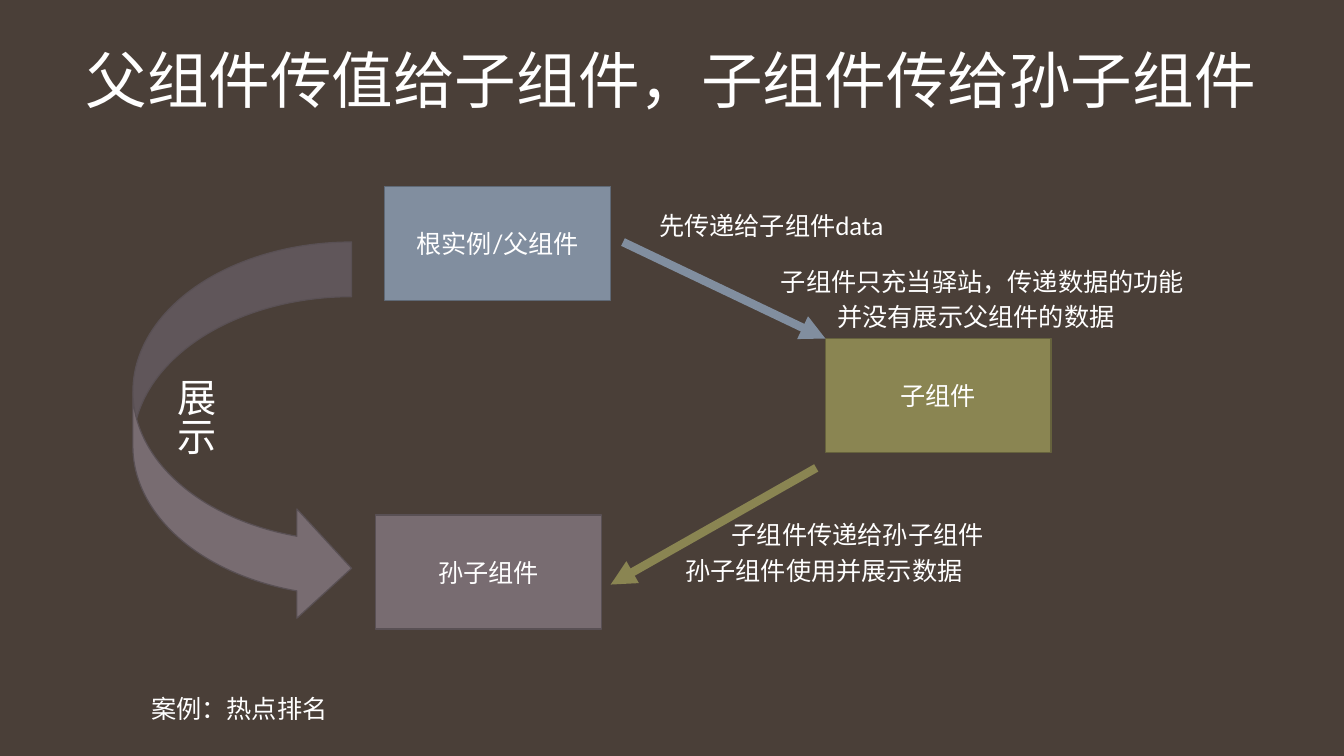
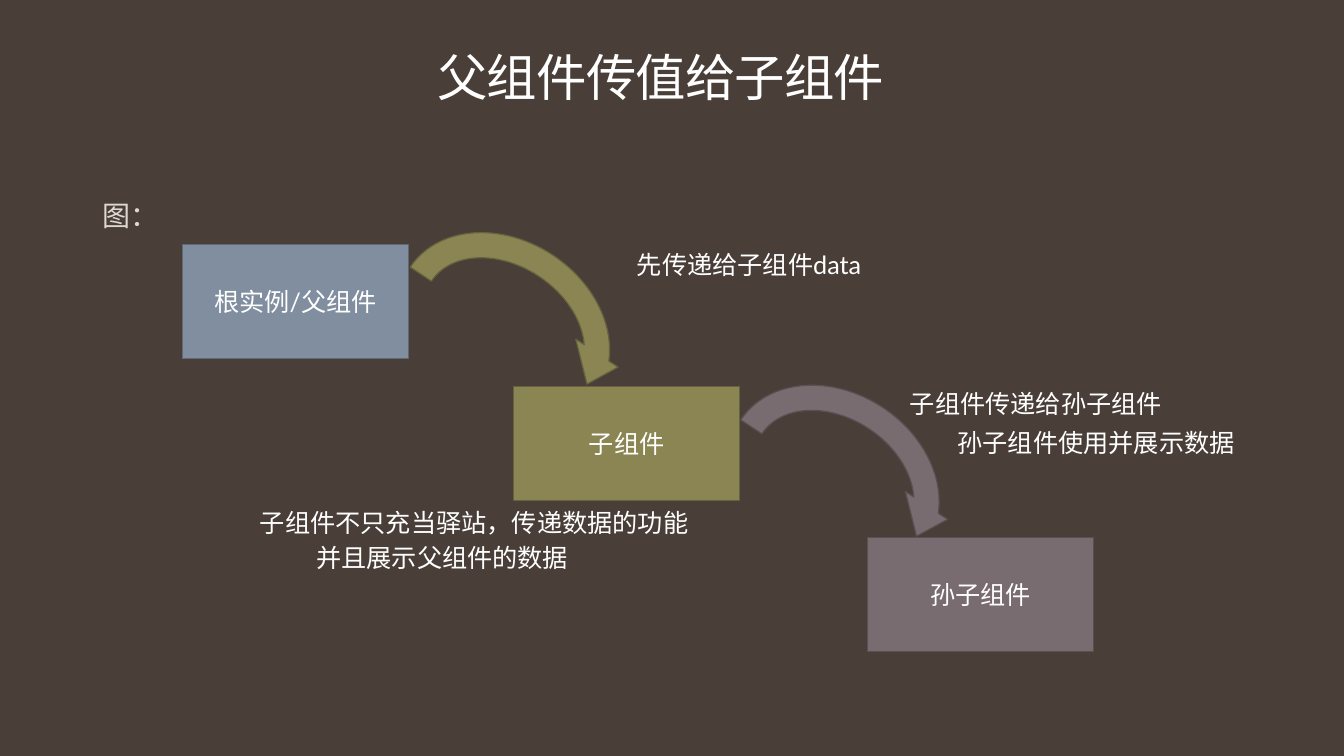
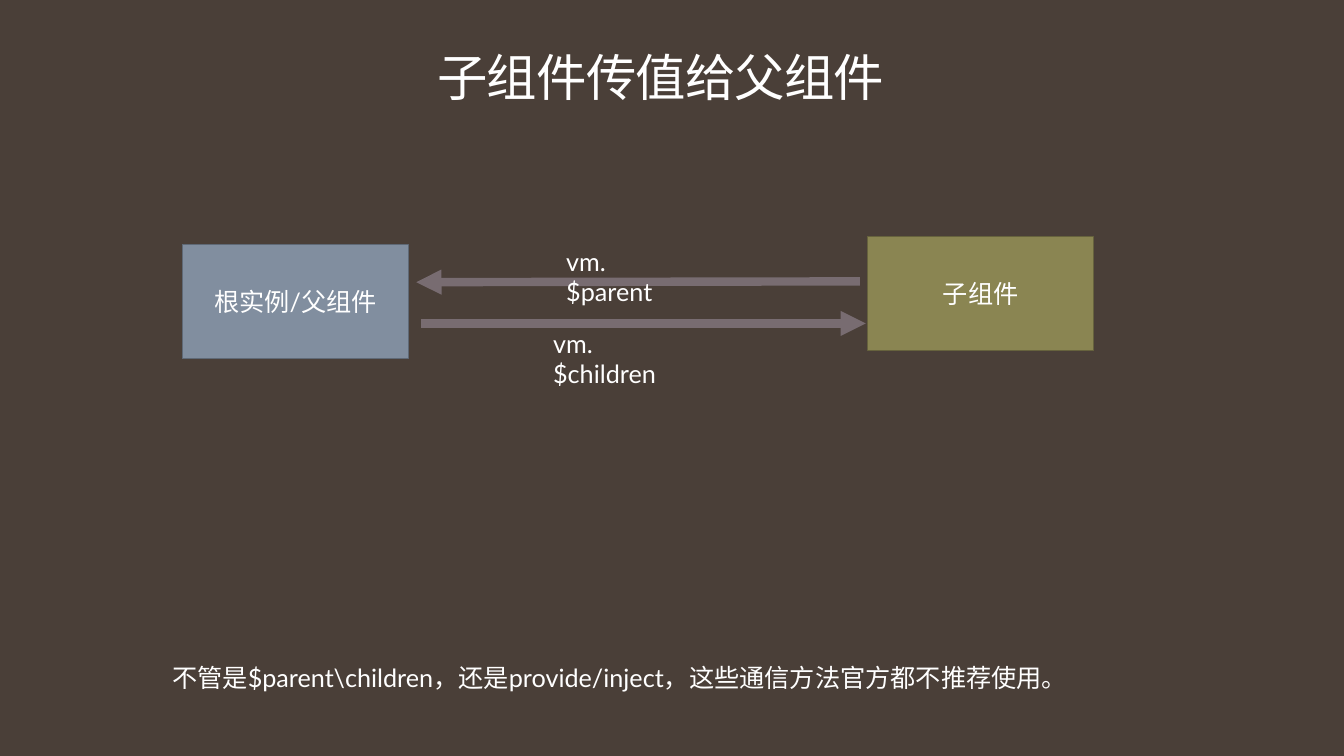
from pptx import Presentation
from pptx.dml.color import RGBColor
from pptx.enum import shapes, text
from pptx.oxml.ns import qn
from pptx.util import Cm, Pt
from lxml import etree

# Shared look
BROWN = RGBColor(0x4A, 0x3F, 0x38)
WHITE = RGBColor(0xFF, 0xFF, 0xFF)
CREAM = RGBColor(0xDE, 0xD8, 0xD4)
BLUE = (RGBColor(0x81, 0x8E, 0x9F), RGBColor(0x5F, 0x69, 0x76))  # fill, outline
OLIVE = (RGBColor(0x8A, 0x85, 0x52), RGBColor(0x66, 0x62, 0x3D))
MAUVE = (RGBColor(0x78, 0x6C, 0x71), RGBColor(0x59, 0x50, 0x54))
LATIN, CJK = "Lato", "Noto Sans CJK SC"
BOX_SIZE = (5.69, 2.87)
LINE_HEIGHT = 1.02
CENTRED_TITLE = dict(at=(8.59, 1.22, 16.13, 5.16), size=36,
                     align=text.PP_ALIGN.CENTER, spacing=-60)
WIDE_TITLE = dict(at=(1.9, 1.14, 31.22, 3.68), size=44,
                  align=text.PP_ALIGN.LEFT, spacing=0)
CURVED = shapes.MSO_SHAPE.CURVED_RIGHT_ARROW
CIRCULAR = shapes.MSO_SHAPE.CIRCULAR_ARROW

# Content, lengths in cm
PARENT = ("根实例/父组件", BLUE)
CHILD = ("子组件", OLIVE)
GRANDCHILD = ("孙子组件", MAUVE)
TO_CHILD = "先传递给子组件data"
TO_GRANDCHILD = "子组件传递给孙子组件"
GRANDCHILD_SHOWS = "孙子组件使用并展示数据"

# boxes: part, left, top
# lines: from, to, colours
# bent: preset, place, rotation, colours
# labels: words, left, top, width, wraps
SLIDES = [
    dict(
        title="父组件传值给子组件，子组件传给孙子组件", style=WIDE_TITLE,
        boxes=[(PARENT, 9.7, 4.7), (CHILD, 20.8, 8.53), (GRANDCHILD, 9.47, 12.98)],
        lines=[((15.7, 6.1), (20.8, 8.53), BLUE),
               ((20.57, 11.79), (15.39, 14.73), OLIVE)],
        bent=[(CURVED, (3.35, 6.1, 5.51, 9.6), 0, MAUVE)],
        labels=[(TO_CHILD, 16.36, 5.18, 11.76, True),
                (TO_GRANDCHILD, 18.19, 12.95, 6.91, True),
                (GRANDCHILD_SHOWS, 17.02, 13.87, 7.57, False),
                ("子组件只充当驿站，传递数据的功能", 19.43, 6.58, 11.1, False),
                ("并没有展示父组件的数据", 20.85, 7.47, 7.57, False),
                ("案例：热点排名", 3.56, 17.35, 5.0, False)],
        vertical=("展示", (3.96, 9.27, 1.7, 2.77)),
    ),
    dict(
        title="父组件传值给子组件", style=CENTRED_TITLE,
        body=("图：", (2.34, 4.98, 29.21, 12.09)),
        boxes=[(PARENT, 4.6, 6.17), (CHILD, 12.95, 9.75), (GRANDCHILD, 21.87, 13.54)],
        bent=[(CIRCULAR, (9.55, 5.74, 6.3, 5.11), 33.5, OLIVE),
              (CIRCULAR, (17.88, 9.58, 6.27, 5.11), 33.5, MAUVE)],
        labels=[(TO_CHILD, 15.8, 6.17, 11.76, True),
                (TO_GRANDCHILD, 22.68, 9.65, 6.96, True),
                ("子组件不只充当驿站，传递数据的功能", 6.3, 12.65, 11.4, False),
                ("并且展示父组件的数据", 7.72, 13.54, 6.93, False),
                (GRANDCHILD_SHOWS, 23.88, 10.64, 7.57, False)],
    ),
    dict(
        title="子组件传值给父组件", style=CENTRED_TITLE,
        boxes=[(PARENT, 4.6, 6.17), (CHILD, 21.87, 5.97)],
        lines=[((21.67, 7.09), (10.49, 7.11), MAUVE),
               ((10.62, 8.15), (21.82, 8.15), MAUVE)],
        labels=[("vm.$parent", 14.02, 6.07, 3.66, True),
                ("不管是$parent\\children，还是provide/inject，这些通信方法官方都不推荐使用。",
                 4.09, 16.56, 23.22, False),
                ("vm.$children", 13.69, 8.15, 3.96, True)],
    ),
]


def cm(lengths):
    return [Cm(length) for length in lengths]


def write(frame, words, size=18, colour=WHITE, latin=LATIN,
          align=text.PP_ALIGN.LEFT, spacing=0):
    frame.text = words
    paragraph = frame.paragraphs[0]
    paragraph.alignment = align
    run = paragraph.runs[0]
    run.font.size, run.font.name = Pt(size), latin
    run.font.color.rgb = colour
    props = run.font._element
    etree.SubElement(props, qn("a:ea")).set("typeface", CJK)
    if spacing:
        props.set("spc", str(spacing))
    return paragraph


def fill_placeholder(holder, words, at, **style):
    holder.left, holder.top, holder.width, holder.height = cm(at)
    frame = holder.text_frame
    frame.vertical_anchor = text.MSO_ANCHOR.TOP
    frame.auto_size = text.MSO_AUTO_SIZE.NONE
    paragraph = write(frame, words, **style)
    paragraph.line_spacing = 0.9
    return paragraph


def add_body(slide, words, at):
    paragraph = fill_placeholder(slide.placeholders[1], words, at, size=20, colour=CREAM)
    paragraph.space_before = Pt(12)
    props = paragraph._p.get_or_add_pPr()
    props.set("marL", "0")
    props.set("indent", "0")
    etree.SubElement(props, qn("a:buNone"))


def add_filled(slide, preset, at, colours):
    shape = slide.shapes.add_shape(preset, *cm(at))
    shape.shadow.inherit = False
    shape.fill.solid()
    shape.fill.fore_color.rgb, shape.line.color.rgb = colours
    shape.line.width = Pt(0.85)
    return shape


def add_box(slide, part, left, top):
    words, colours = part
    box = add_filled(slide, shapes.MSO_SHAPE.RECTANGLE, (left, top, *BOX_SIZE), colours)
    box.text_frame.vertical_anchor = text.MSO_ANCHOR.MIDDLE
    write(box.text_frame, words, align=text.PP_ALIGN.CENTER)


def add_arrow(slide, start, end, colours):
    arrow = slide.shapes.add_connector(shapes.MSO_CONNECTOR.STRAIGHT, *cm(start + end))
    arrow.line.color.rgb = colours[0]
    arrow.line.width = Pt(6)
    etree.SubElement(arrow.line._get_or_add_ln(), qn("a:tailEnd")).set("type", "triangle")
    etree.SubElement(arrow._element.spPr, qn("a:effectLst"))


def add_bent_arrow(slide, preset, at, rotation, colours):
    add_filled(slide, preset, at, colours).rotation = rotation


def add_label(slide, words, at, wraps=True, size=18):
    frame = slide.shapes.add_textbox(*cm(at)).text_frame
    frame.word_wrap = wraps
    frame.auto_size = text.MSO_AUTO_SIZE.SHAPE_TO_FIT_TEXT
    write(frame, words, size)
    return frame


# Presentation and shared background
prs = Presentation()
prs.slide_width, prs.slide_height = Cm(33.87), Cm(19.05)
background = prs.slide_master.background.fill
background.solid()
background.fore_color.rgb = BROWN
TITLE_AND_BODY, TITLE_ONLY = prs.slide_layouts[1], prs.slide_layouts[5]

# Slides
for content in SLIDES:
    slide = prs.slides.add_slide(TITLE_AND_BODY if "body" in content else TITLE_ONLY)
    fill_placeholder(slide.shapes.title, content["title"], latin=CJK, **content["style"])
    if "body" in content:
        add_body(slide, *content["body"])
    for box in content["boxes"]:
        add_box(slide, *box)
    for line in content.get("lines", []):
        add_arrow(slide, *line)
    for bent in content.get("bent", []):
        add_bent_arrow(slide, *bent)
    for words, left, top, width, wraps in content["labels"]:
        add_label(slide, words, (left, top, width, LINE_HEIGHT), wraps)
    if "vertical" in content:
        frame = add_label(slide, *content["vertical"], size=28)
        frame._txBody.bodyPr.set("vert", "eaVert")

prs.save("out.pptx")
